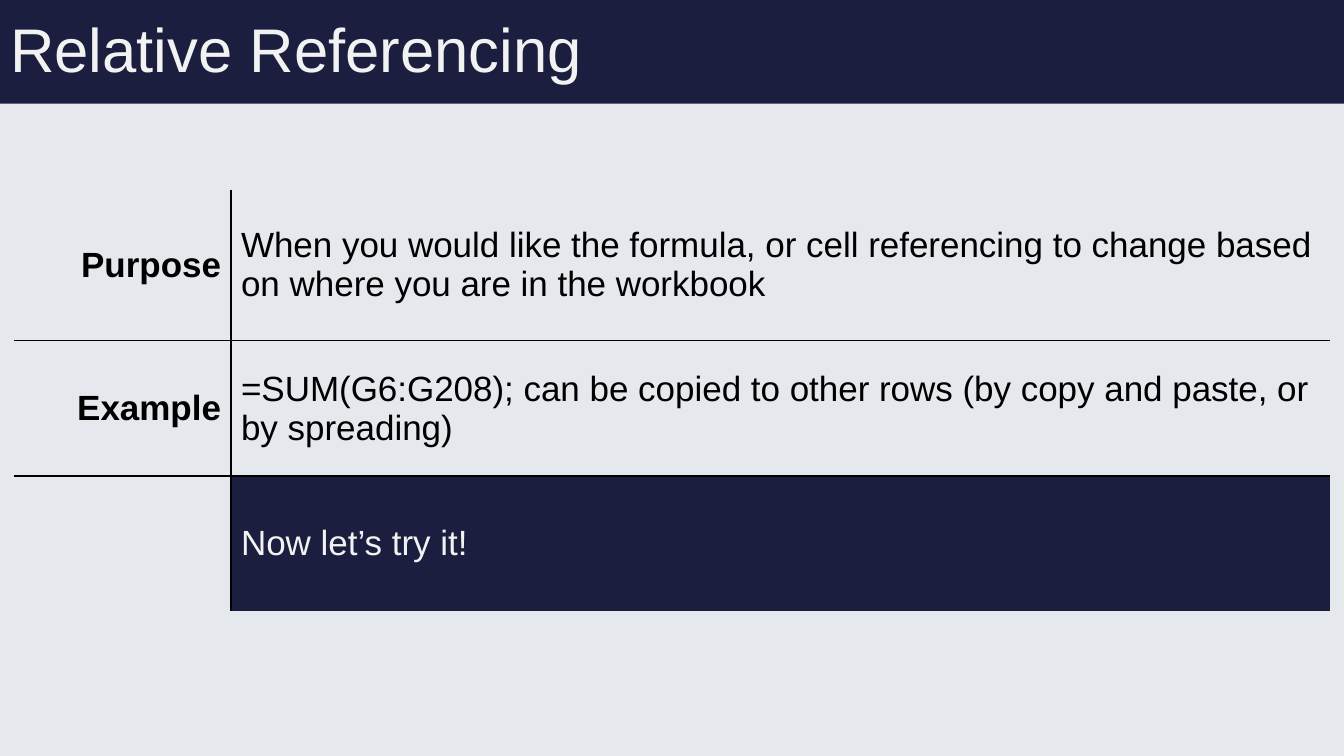
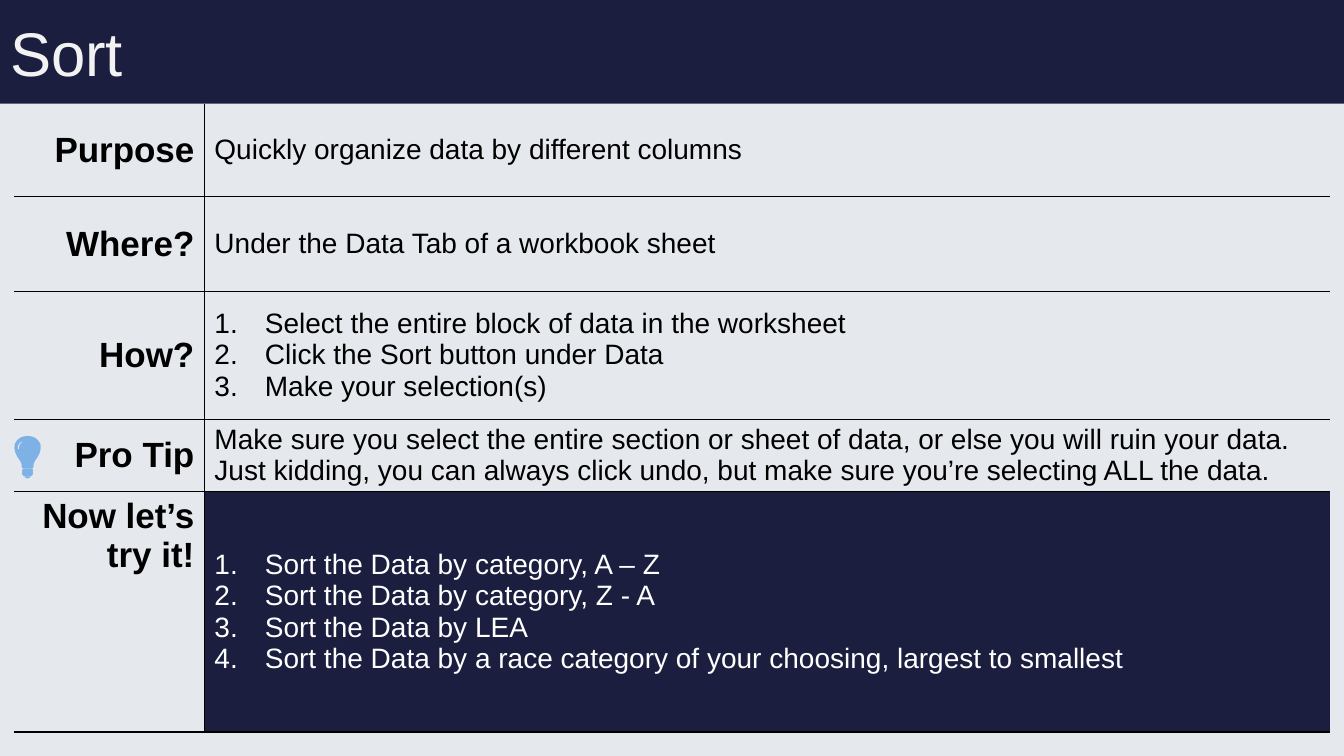
from lxml.etree import SubElement
from pptx import Presentation
from pptx.dml.color import RGBColor
from pptx.enum.shapes import MSO_SHAPE
from pptx.enum.text import MSO_ANCHOR, MSO_AUTO_SIZE, PP_ALIGN
from pptx.oxml.ns import qn
from pptx.util import Pt

NAVY = RGBColor(0x1B, 0x1E, 0x3E)
PALE = RGBColor(0xE5, 0xE9, 0xEE)
OFF_WHITE = RGBColor(0xF2, 0xF2, 0xF2)
WHITE = RGBColor(0xFF, 0xFF, 0xFF)
BLACK = RGBColor(0, 0, 0)
BULB_BLUE = RGBColor(0x7E, 0xB2, 0xE6)

FONT = "Arial"
SLIDE_WIDTH, SLIDE_HEIGHT = 960, 540
BAND_HEIGHT = 74
TABLE_LEFT = 10
LABEL_SIZE = 25
LIST_INDENT = 36
BULB_WIDTH = 194
CURVE_STEPS = 8

GLASS_CURVES = [
    [(125, 245), (140, 245), (140, 230), (140, 223)],
    [(140, 223), (140, 209), (148, 194), (158, 180)],
    [(158, 180), (180, 151), (194, 115), (190, 86)],
    [(190, 86), (190, 72), (187, 65), (180, 58)],
    [(180, 58), (165, 29), (131, 14), (97, 14)],
]
GLINT_CURVES = [
    [(29, 108), (29, 108), (22, 72), (50, 58)],
    [(50, 58), (58, 50), (65, 58), (50, 65)],
    [(50, 65), (36, 79), (36, 101), (36, 108)],
]
SOCKET = [(133, 245), (133, 256), (137, 260), (133, 266), (137, 274),
          (133, 281), (137, 286), (133, 292), (123, 302)]
TIP = [(118, 302), (112, 313), (97, 317)]


def write(frame, text, size=20, color=BLACK, bold=False, align=PP_ALIGN.LEFT,
          line_spacing=None, numbered=False):
    lines = [text] if isinstance(text, str) else text
    for index, line in enumerate(lines):
        paragraph = frame.paragraphs[0] if index == 0 else frame.add_paragraph()
        if numbered:
            properties = paragraph._p.get_or_add_pPr()
            properties.set("marL", str(Pt(LIST_INDENT)))
            properties.set("indent", str(Pt(-LIST_INDENT)))
            SubElement(properties, qn("a:buFont"), typeface="+mj-lt")
            SubElement(properties, qn("a:buAutoNum"), type="arabicPeriod")
        paragraph.alignment = align
        if line_spacing:
            paragraph.line_spacing = line_spacing
        run = paragraph.add_run()
        run.text = line
        run.font.name = FONT
        run.font.size = Pt(size)
        run.font.bold = bold
        run.font.color.rgb = color


def add_titled_slide(prs, heading, title_top):
    slide = prs.slides.add_slide(prs.slide_layouts[5])
    title = slide.shapes.title
    title.left, title.top = Pt(0), Pt(title_top)
    title.width, title.height = Pt(828), Pt(104.5)
    title.text_frame.auto_size = MSO_AUTO_SIZE.NONE
    title.text_frame.vertical_anchor = MSO_ANCHOR.MIDDLE
    write(title.text_frame, heading, size=44, color=OFF_WHITE, line_spacing=0.9)

    band = slide.shapes.add_shape(MSO_SHAPE.RECTANGLE, Pt(0), Pt(0),
                                  Pt(SLIDE_WIDTH), Pt(BAND_HEIGHT))
    band.shadow.inherit = False
    band.fill.solid()
    band.fill.fore_color.rgb = NAVY
    band.line.fill.background()
    title.element.addprevious(band.element)
    return slide


def set_borders(cell, shown):
    properties = cell._tc.get_or_add_tcPr()
    for side in "LRTB":
        border = SubElement(properties, qn(f"a:ln{side}"), w=str(Pt(1)))
        if side in shown:
            fill = SubElement(border, qn("a:solidFill"))
            SubElement(fill, qn("a:srgbClr"), val=str(BLACK))
        else:
            SubElement(border, qn("a:noFill"))


def add_guide_table(slide, top, columns, heights, rows, size, practice_color,
                    closed=False):
    table = slide.shapes.add_table(len(rows), 2, Pt(TABLE_LEFT), Pt(top),
                                   Pt(sum(columns)), Pt(sum(heights))).table
    table.first_row = table.horz_banding = False
    for column, width in zip(table.columns, columns):
        column.width = Pt(width)
    last = len(rows) - 1
    for index, (label, detail) in enumerate(rows):
        table.rows[index].height = Pt(heights[index])
        practice = index == last
        edges = "T" * (index > 0) + "B" * (closed or not practice)
        label_cell, detail_cell = table.cell(index, 0), table.cell(index, 1)
        set_borders(label_cell, "R" + edges)
        set_borders(detail_cell, "L" + edges)
        label_cell.fill.background()
        label_cell.vertical_anchor = MSO_ANCHOR.TOP if practice else MSO_ANCHOR.MIDDLE
        detail_cell.vertical_anchor = MSO_ANCHOR.MIDDLE
        if practice:
            detail_cell.fill.solid()
            detail_cell.fill.fore_color.rgb = NAVY
        else:
            detail_cell.fill.background()
        if label:
            write(label_cell.text_frame, label, size=LABEL_SIZE, bold=True,
                  align=PP_ALIGN.RIGHT)
        write(detail_cell.text_frame, detail, size=size,
              color=practice_color if practice else BLACK,
              numbered=isinstance(detail, list))


def trace(curves):
    points = [curves[0][0]]
    for a, b, c, d in curves:
        for step in range(1, CURVE_STEPS + 1):
            t = step / CURVE_STEPS
            weights = ((1 - t) ** 3, 3 * t * (1 - t) ** 2, 3 * t * t * (1 - t), t ** 3)
            points.append(tuple(sum(w * p[axis] for w, p in zip(weights, (a, b, c, d)))
                                for axis in (0, 1)))
    return points


def mirrored(right_half):
    return right_half + [(BULB_WIDTH - x, y) for x, y in reversed(right_half)]


def add_light_bulb(slide, left, top):
    bulb = slide.shapes.add_group_shape()
    parts = [
        [mirrored(TIP)],
        [mirrored(trace(GLASS_CURVES)), trace(GLINT_CURVES)],
        [mirrored(SOCKET)],
    ]
    for outlines in parts:
        builder = bulb.shapes.build_freeform(*outlines[0][0], scale=Pt(0.1))
        builder.add_line_segments(outlines[0][1:])
        for hole in outlines[1:]:
            builder.move_to(*hole[0])
            builder.add_line_segments(hole[1:])
        part = builder.convert_to_shape(Pt(left), Pt(top))
        part.shadow.inherit = False
        part.fill.solid()
        part.fill.fore_color.rgb = BULB_BLUE
        part.line.fill.background()


def main():
    prs = Presentation()
    prs.slide_width, prs.slide_height = Pt(SLIDE_WIDTH), Pt(SLIDE_HEIGHT)
    background = prs.slide_master.background.fill
    background.solid()
    background.fore_color.rgb = PALE

    referencing = add_titled_slide(prs, "Relative Referencing", -15)
    add_guide_table(referencing, 135.5, [155, 785], [108, 96.5, 96.5], [
        ("Purpose", "When you would like the formula, or cell referencing to change "
                    "based on where you are in the workbook"),
        ("Example", "=SUM(G6:G208); can be copied to other rows (by copy and paste, "
                    "or by spreading)"),
        ("", "Now let’s try it!"),
    ], size=25, practice_color=OFF_WHITE)

    sort = add_titled_slide(prs, "Sort", -11.5)
    add_guide_table(sort, BAND_HEIGHT, [136, 804], [66.5, 67.5, 91.5, 51.5, 171.5], [
        ("Purpose", "Quickly organize data by different columns"),
        ("Where?", "Under the Data Tab of a workbook sheet"),
        ("How?", ["Select the entire block of data in the worksheet",
                  "Click the Sort button under Data",
                  "Make your selection(s)"]),
        ("Pro Tip", "Make sure you select the entire section or sheet of data, or else "
                    "you will ruin your data. Just kidding, you can always click undo, "
                    "but make sure you’re selecting ALL the data."),
        ("Now let’s try it!", ["Sort the Data by category, A – Z",
                               "Sort the Data by category, Z - A",
                               "Sort the Data by LEA",
                               "Sort the Data by a race category of your choosing, "
                               "largest to smallest"]),
    ], size=20, practice_color=WHITE, closed=True)
    add_light_bulb(sort, 10, 310)

    prs.save("out.pptx")


if __name__ == "__main__":
    main()
